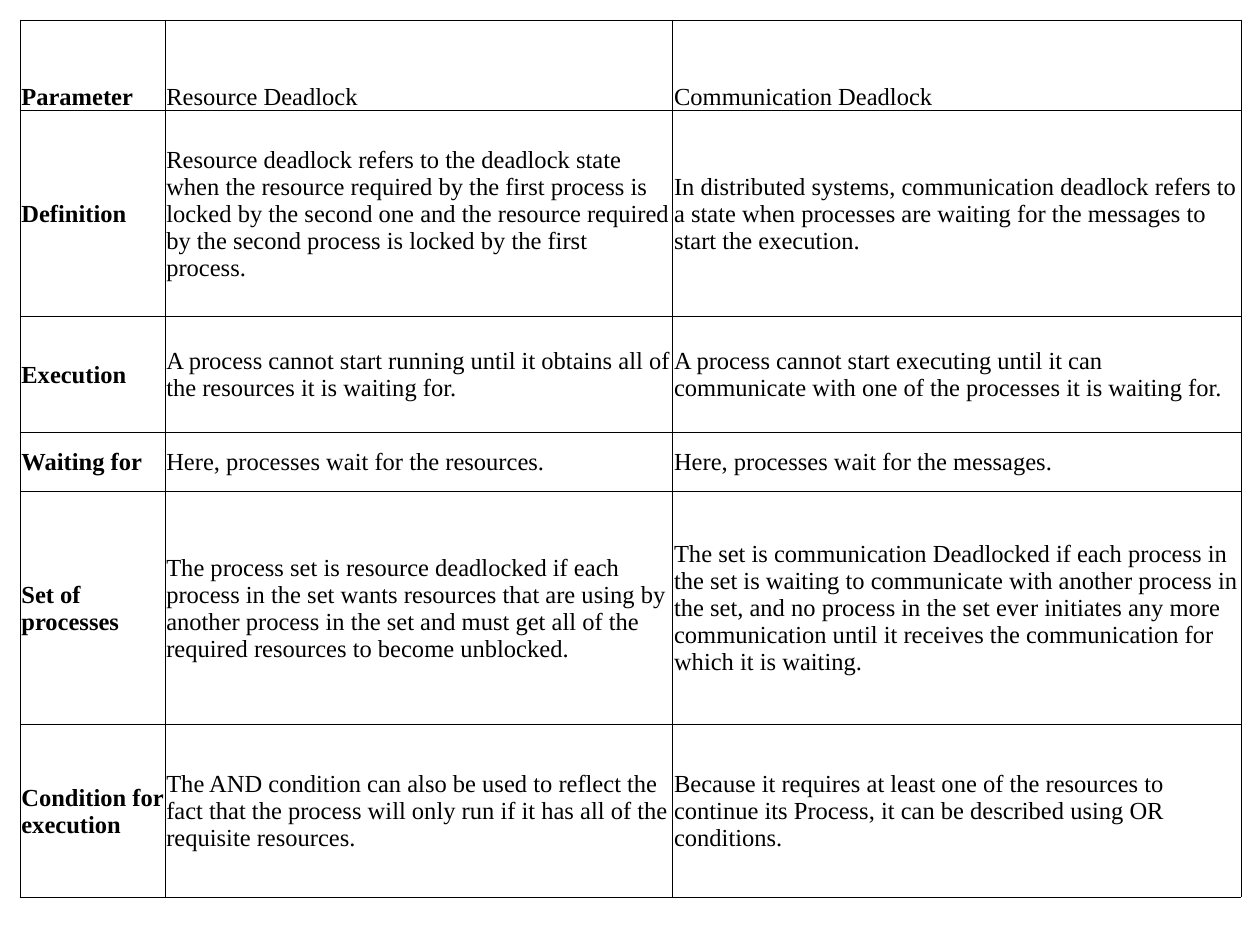
from typing import NamedTuple

from lxml import etree
from pptx import Presentation
from pptx.dml.color import RGBColor
from pptx.enum.text import MSO_ANCHOR
from pptx.oxml.ns import qn
from pptx.util import Inches, Pt

BOTTOM = MSO_ANCHOR.BOTTOM
MIDDLE = MSO_ANCHOR.MIDDLE

COLORS = {"text": "000000", "border": "000000", "cell": "FFFFFF"}
FONT = "Times New Roman"
FONT_SIZE = Pt(14)
BORDER_WIDTH = Pt(0.5)
INSET = Inches(0.01)
LEFT, TOP = 0.16, 0.16
COLUMN_WIDTHS = (1.15, 4.03, 4.51)


class Comparison(NamedTuple):
    height: float
    parameter: str
    resource: str
    communication: str


COMPARISONS = [
    Comparison(0.72, "Parameter", "Resource Deadlock", "Communication Deadlock"),
    Comparison(
        1.63,
        "Definition",
        "Resource deadlock refers to the deadlock state when the resource "
        "required by the first process is locked by the second one and the "
        "resource required by the second process is locked by the first process.",
        "In distributed systems, communication deadlock refers to a state when "
        "processes are waiting for the messages to start the execution.",
    ),
    Comparison(
        0.92,
        "Execution",
        "A process cannot start running until it obtains all of the resources "
        "it is waiting for.",
        "A process cannot start executing until it can communicate with one of "
        "the processes it is waiting for.",
    ),
    Comparison(
        0.47,
        "Waiting for",
        "Here, processes wait for the resources.",
        "Here, processes wait for the messages.",
    ),
    Comparison(
        1.85,
        "Set of processes",
        "The process set is resource deadlocked if each process in the set wants "
        "resources that are using by another process in the set and must get all "
        "of the required resources to become unblocked.",
        "The set is communication Deadlocked if each process in the set is "
        "waiting to communicate with another process in the set, and no process "
        "in the set ever initiates any more communication until it receives the "
        "communication for which it is waiting.",
    ),
    Comparison(
        1.37,
        "Condition for execution",
        "The AND condition can also be used to reflect the fact that the process "
        "will only run if it has all of the requisite resources.",
        "Because it requires at least one of the resources to continue its "
        "Process, it can be described using OR conditions.",
    ),
]


def add_borders(cell) -> None:
    """Line all four sides; the lines must precede the fill in the XML."""
    tc_pr = cell._tc.get_or_add_tcPr()
    for i, side in enumerate(("a:lnL", "a:lnR", "a:lnT", "a:lnB")):
        line = etree.Element(qn(side), w=str(int(BORDER_WIDTH)))
        fill = etree.SubElement(line, qn("a:solidFill"))
        etree.SubElement(fill, qn("a:srgbClr"), val=COLORS["border"])
        tc_pr.insert(i, line)


def fill_cell(cell, text: str, bold: bool, anchor: MSO_ANCHOR) -> None:
    cell.margin_left = cell.margin_right = cell.margin_top = INSET
    cell.margin_bottom = 0
    cell.vertical_anchor = anchor
    cell.fill.solid()
    cell.fill.fore_color.rgb = RGBColor.from_string(COLORS["cell"])
    add_borders(cell)
    cell.text_frame.text = text
    font = cell.text_frame.paragraphs[0].runs[0].font
    font.name = FONT
    font.size = FONT_SIZE
    font.bold = bold
    font.color.rgb = RGBColor.from_string(COLORS["text"])


def add_comparison_table(s, comparisons: list[Comparison]) -> None:
    table = s.shapes.add_table(
        len(comparisons), len(COLUMN_WIDTHS),
        Inches(LEFT), Inches(TOP),
        Inches(sum(COLUMN_WIDTHS)), Inches(sum(c.height for c in comparisons)),
    ).table
    table.horz_banding = False
    table.first_row = False
    for column, width in zip(table.columns, COLUMN_WIDTHS):
        column.width = Inches(width)
    for i, (height, *texts) in enumerate(comparisons):
        table.rows[i].height = Inches(height)
        for j, text in enumerate(texts):
            fill_cell(table.cell(i, j), text, j == 0, BOTTOM if i == 0 else MIDDLE)


def main() -> None:
    prs = Presentation()
    prs.slide_width = Inches(10)
    prs.slide_height = Inches(7.5)
    s = prs.slides.add_slide(prs.slide_layouts[6])
    add_comparison_table(s, COMPARISONS)
    prs.save("out.pptx")


if __name__ == "__main__":
    main()
